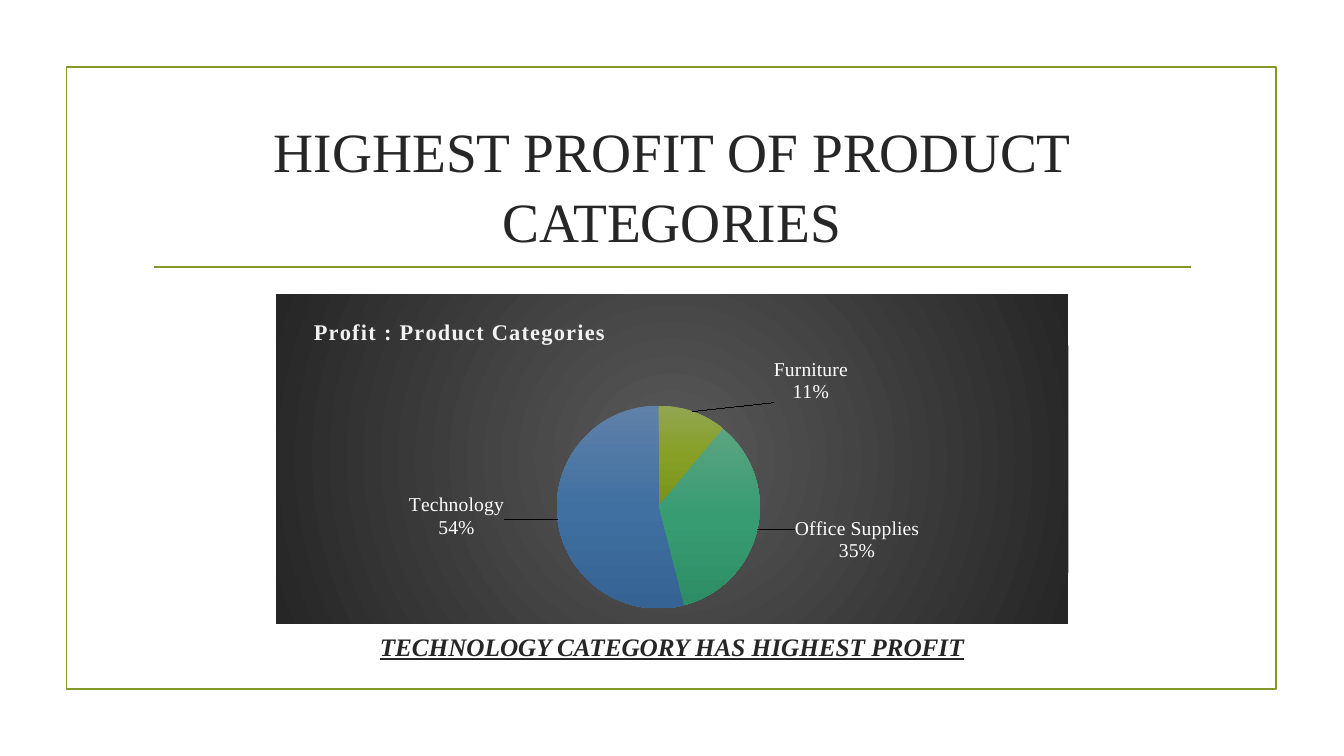
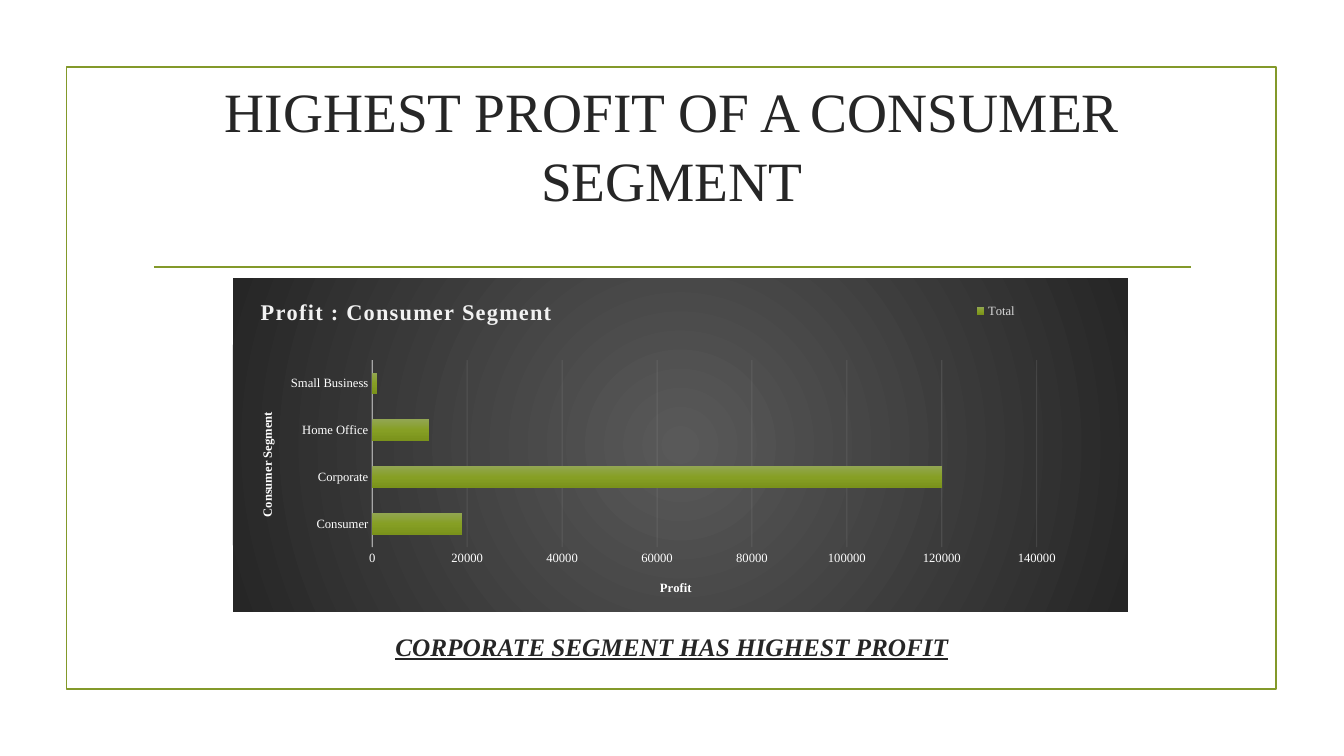
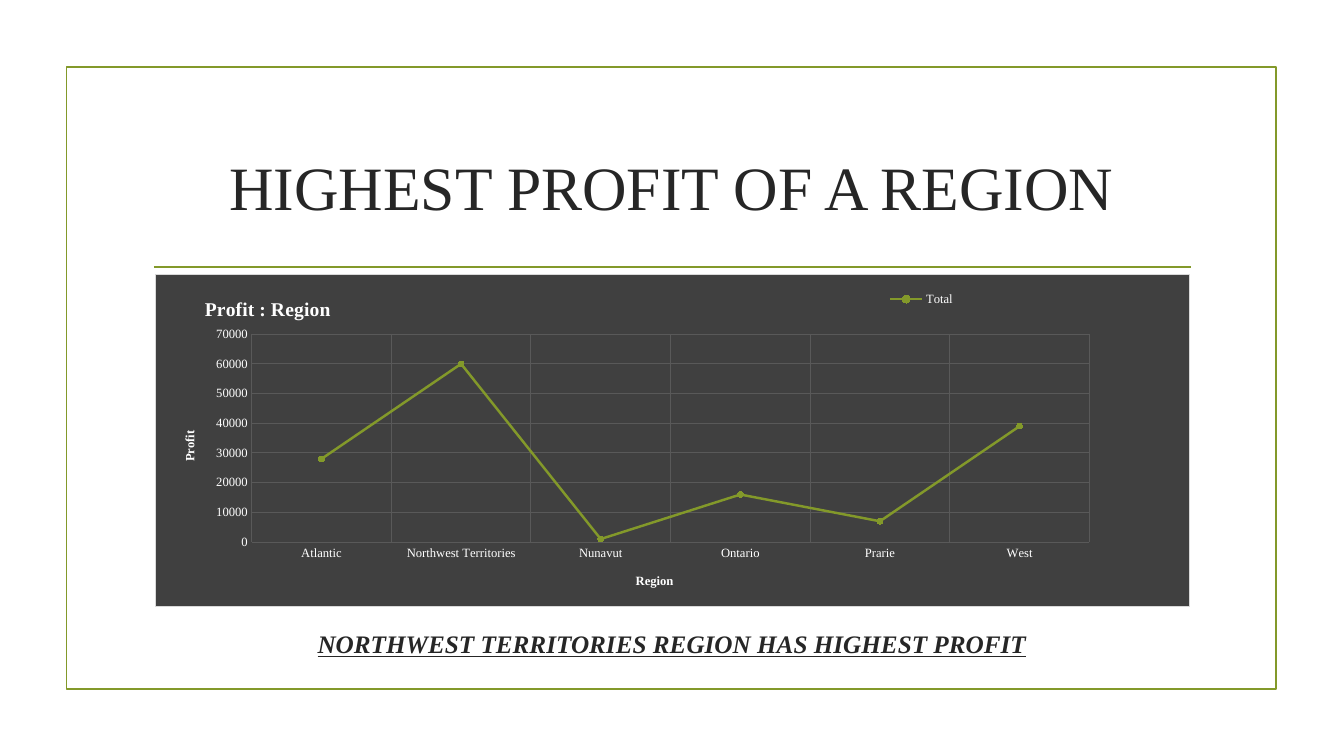
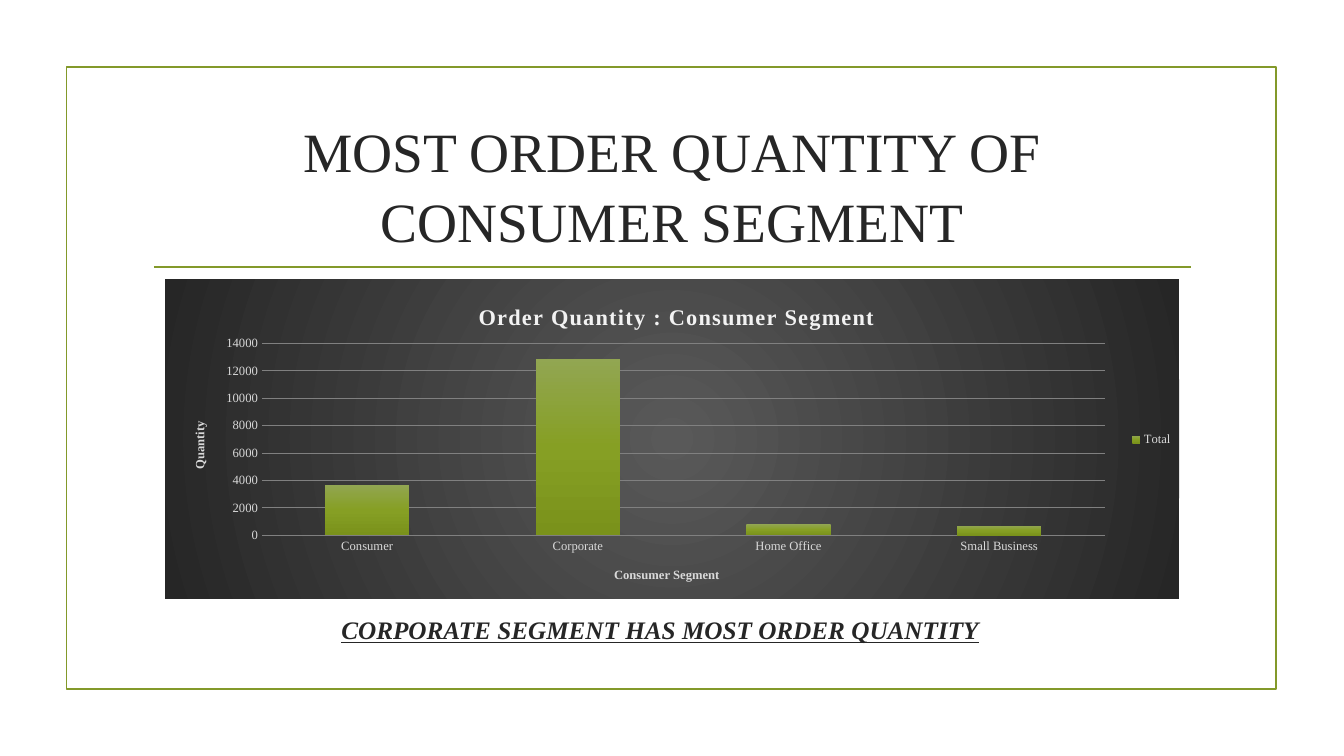
from pptx import Presentation
from pptx.chart.data import CategoryChartData
from pptx.dml.color import RGBColor
from pptx.enum.chart import XL_CHART_TYPE, XL_LEGEND_POSITION, XL_MARKER_STYLE, XL_TICK_MARK
from pptx.enum.shapes import MSO_CONNECTOR, MSO_SHAPE
from pptx.enum.text import MSO_ANCHOR, PP_ALIGN
from pptx.oxml import parse_xml
from pptx.oxml.ns import nsdecls
from pptx.util import Pt

FONT = "Times New Roman"
GREEN, INK, WHITE, PALE = "83992A", "262626", "FFFFFF", "D9D9D9"
LEAF = ("92A652", "869F24", "7A921B")
SEA = ("5BA481", "379C71", "2D8E65")
SKY = ("6081A9", "4070A1", "356393")
NS = nsdecls("a", "c")


def tint(code):
    return RGBColor.from_string(code)


def write(frame, text, size=18, color=INK, bold=False, italic=False, line=False,
          space=None, gap=None, after=None, track=None):
    par = frame.paragraphs[0]
    par.alignment = PP_ALIGN.CENTER
    if space:
        par.line_spacing = space
    if after:
        par.space_after = Pt(after)
    run = par.add_run()
    run.text = text
    font = run.font
    font.name, font.size, font.color.rgb = FONT, Pt(size), tint(color)
    font.bold, font.italic, font.underline = bold, italic, line
    if track:
        font._element.set("spc", str(track)) if hasattr(font, "_element") else run._r.get_or_add_rPr().set("spc", str(track))


def wash(codes, tail):
    step = 100000 // (len(codes) - 1)
    stops = "".join(f'<a:gs pos="{i * step}"><a:srgbClr val="{c}"/></a:gs>'
                    for i, c in enumerate(codes))
    return f"<a:gradFill {NS}><a:gsLst>{stops}</a:gsLst>{tail}</a:gradFill>"


def shade(form, codes):
    fill = wash(codes, '<a:lin ang="5400000" scaled="0"/>')
    form._element.get_or_add_spPr().insert(0, parse_xml(fill))


def stroke(form, color, width=0.75, alpha=None):
    if color is None:
        form.line.fill.background()
        return
    form.line.color.rgb = tint(color)
    form.line.width = Pt(width)
    if alpha:
        mark = form.line._get_or_add_ln().xpath(".//a:srgbClr")[0]
        mark.append(parse_xml(f'<a:alpha {NS} val="{alpha * 1000}"/>'))


class Deck:
    """Build slides that share one frame, font and chart style."""

    def __init__(self):
        self.show = Presentation()
        self.show.slide_width, self.show.slide_height = Pt(960), Pt(540)

    def start(self, title, note, head=(102, 77, 756, 103), foot=(102, 445.5), size=39.6):
        self.slide = self.show.slides.add_slide(self.show.slide_layouts[6])
        self.frame()
        self.rule()
        self.text(title, head, MSO_ANCHOR.MIDDLE, (6, 0), size=size, space=1.04)
        self.text(note, (*foot, 756, 32), MSO_ANCHOR.TOP, (3.6, 3.6),
                  bold=True, italic=True, line=True, space=1.08, after=6)

    def frame(self):
        box = self.slide.shapes.add_shape(MSO_SHAPE.RECTANGLE, Pt(47.5), Pt(48), Pt(864), Pt(444))
        box.shadow.inherit = False
        box.fill.background()
        stroke(box, GREEN, 1.25)

    def rule(self):
        line = self.slide.shapes.add_connector(
            MSO_CONNECTOR.STRAIGHT, Pt(110), Pt(190.8), Pt(850.5), Pt(190.8))
        stroke(line, GREEN, 1.25)
        line._element.spPr.append(parse_xml(f"<a:effectLst {NS}/>"))

    def text(self, text, box, anchor, pad, **style):
        frame = self.slide.shapes.add_textbox(*map(Pt, box)).text_frame
        frame.word_wrap = True
        frame.vertical_anchor = anchor
        frame.margin_top, frame.margin_bottom = map(Pt, pad)
        write(frame, text, **style)

    def place(self, node, spot, index=1):
        for old in node.xpath("c:layout"):
            node.remove(old)
        mode = "".join(f'<c:{k}Mode val="edge"/>' for k in "xy")
        goal = "" if index else '<c:layoutTarget val="inner"/>'
        size = "".join(f'<c:{k} val="{v / self.span[i % 2]:.4f}"/>'
                       for i, (k, v) in enumerate(zip("xywh", spot)))
        node.insert(index, parse_xml(
            f"<c:layout {NS}><c:manualLayout>{goal}{mode}{size}</c:manualLayout></c:layout>"))

    def chart(self, kind, box, cats, name, vals, title, spot, plot, flat=None,
              size=16, color="F2F2F2", track=100):
        data = CategoryChartData()
        data.categories = cats
        data.add_series(name, vals)
        self.span = box[2:]
        chart = self.slide.shapes.add_chart(kind, *map(Pt, box), data).chart
        self.graph = chart
        chart.font.name, chart.font.size = FONT, Pt(10)
        chart.has_legend = False
        chart.has_title = True
        write(chart.chart_title.text_frame, title, size, color, True, track=track)
        self.place(chart.chart_title._element, spot)
        root = chart._chartSpace
        self.place(root.xpath("c:chart/c:plotArea")[0], plot, 0)
        if flat:
            fill = f'<a:solidFill><a:srgbClr val="{flat}"/></a:solidFill>'
            edge = f'<a:ln w="9525"><a:solidFill><a:srgbClr val="{PALE}"/></a:solidFill></a:ln>'
        else:
            fill = wash(("595959", INK), '<a:path path="circle"><a:fillToRect l="50000" t="50000" '
                                         'r="50000" b="50000"/></a:path>')
            edge = "<a:ln><a:noFill/></a:ln>"
        root.xpath("c:chart")[0].addnext(parse_xml(f"<c:spPr {NS}>{fill}{edge}</c:spPr>"))
        chart.plots[0].vary_by_categories = kind == XL_CHART_TYPE.PIE
        return chart.plots[0]

    def key(self, spot, color):
        self.graph.has_legend = True
        key = self.graph.legend
        key.position = XL_LEGEND_POSITION.RIGHT
        key.include_in_layout = False
        key.font.name, key.font.size, key.font.color.rgb = FONT, Pt(9), tint(color)
        self.place(key._element, spot)

    def axis(self, axis, title, spot, color, line=None, grid=None, alpha=None):
        axis.major_tick_mark = axis.minor_tick_mark = XL_TICK_MARK.NONE
        font = axis.tick_labels.font
        font.name, font.size, font.color.rgb = FONT, Pt(9), tint(color)
        write(axis.axis_title.text_frame, title, 9, color, True)
        self.place(axis.axis_title._element, spot)
        stroke(axis.format, line, 1, 54)
        axis.has_major_gridlines = bool(grid)
        if grid:
            stroke(axis.major_gridlines.format, grid, 0.75, alpha)

    def scale(self, top, step):
        axis = self.graph.value_axis
        axis.minimum_scale, axis.maximum_scale, axis.major_unit = 0, top, step
        axis.tick_labels.number_format = "0"
        axis.tick_labels.number_format_is_linked = False

    def labels(self, row, moves):
        look = (f'<c:numFmt formatCode="0%" sourceLinked="0"/><c:spPr><a:noFill/></c:spPr>'
                f'<c:txPr><a:bodyPr/><a:p><a:pPr><a:defRPr sz="1400"><a:solidFill>'
                f'<a:srgbClr val="{WHITE}"/></a:solidFill><a:latin typeface="{FONT}"/>'
                f'</a:defRPr></a:pPr><a:endParaRPr lang="en-US"/></a:p></c:txPr>'
                f'<c:dLblPos val="outEnd"/>')
        flags = (("LegendKey", 0), ("Val", 0), ("CatName", 1), ("SerName", 0),
                 ("Percent", 1), ("BubbleSize", 0))
        look += "".join(f'<c:show{k} val="{v}"/>' for k, v in flags)
        look += "<c:separator>\n</c:separator>"
        each = "".join(f'<c:dLbl><c:idx val="{i}"/><c:layout><c:manualLayout><c:x val="{x}"/>'
                       f'<c:y val="{y}"/></c:manualLayout></c:layout>{look}</c:dLbl>'
                       for i, (x, y) in enumerate(moves))
        row._element.xpath("c:cat")[0].addprevious(parse_xml(
            f'<c:dLbls {NS}>{each}{look}<c:showLeaderLines val="1"/></c:dLbls>'))


def main():
    deck = Deck()
    groups = ("Consumer", "Corporate", "Home Office", "Small Business")

    deck.start("HIGHEST PROFIT OF PRODUCT CATEGORIES", "TECHNOLOGY CATEGORY HAS HIGHEST PROFIT")
    plot = deck.chart(XL_CHART_TYPE.PIE, (197.3, 210.2, 565.9, 235.4),
                      ("Furniture", "Office Supplies", "Technology"), "Series 1", (11, 35, 54),
                      "Profit : Product Categories", (24, 14), (200, 79.5, 146, 145))
    row = plot.series[0]
    for i, codes in enumerate((LEAF, SEA, SKY)):
        shade(row.points[i].format, codes)
    deck.labels(row, ((0.1, -0.01), (0.04, -0.04), (-0.06, -0.08)))

    deck.start("HIGHEST PROFIT OF A CONSUMER SEGMENT", "CORPORATE SEGMENT HAS HIGHEST PROFIT",
               head=(102, 53.3, 756, 92))
    plot = deck.chart(XL_CHART_TYPE.BAR_CLUSTERED, (166.3, 198.7, 639.4, 238.3), groups, "Total",
                      (19000, 120000, 12000, 1000), "Profit : Consumer Segment",
                      (17, 11), (99.6, 58.6, 474.6, 133.6))
    plot.gap_width, plot.overlap = 115, -20
    shade(plot.series[0].format, LEAF)
    deck.axis(deck.graph.category_axis, "Consumer Segment", (17, 94), WHITE, line="F2F2F2")
    deck.axis(deck.graph.value_axis, "Profit", (303.5, 213.5), WHITE, grid="F2F2F2", alpha=10)
    deck.scale(140000, 20000)
    deck.key((515, 16, 60, 15), PALE)

    deck.start("HIGHEST PROFIT OF A REGION", "NORTHWEST TERRITORIES REGION HAS HIGHEST PROFIT",
               foot=(102, 443.5), size=44)
    plot = deck.chart(XL_CHART_TYPE.LINE_MARKERS, (110.5, 196, 739.4, 237.3),
                      ("Atlantic", "Northwest Territories", "Nunavut", "Ontario", "Prarie", "West"),
                      "Total", (28000, 60000, 1000, 16000, 7000, 39000), "Profit : Region",
                      (33, 13), (69, 42.5, 599, 149), flat="404040",
                      size=14, color=WHITE, track=None)
    row = plot.series[0]
    row.smooth = False
    stroke(row.format, GREEN, 1.75)
    row.marker.style, row.marker.size = XL_MARKER_STYLE.CIRCLE, 4
    row.marker.format.fill.solid()
    row.marker.format.fill.fore_color.rgb = tint(GREEN)
    stroke(row.marker.format, GREEN)
    deck.axis(deck.graph.category_axis, "Region", (342, 212), WHITE, grid="595959")
    deck.axis(deck.graph.value_axis, "Profit", (17, 110), WHITE, grid="595959")
    deck.scale(70000, 10000)
    deck.key((518, 10, 60, 15), WHITE)

    deck.start("MOST ORDER QUANTITY OF CONSUMER SEGMENT", "CORPORATE SEGMENT HAS MOST ORDER QUANTITY",
               foot=(93.6, 433.5))
    plot = deck.chart(XL_CHART_TYPE.COLUMN_CLUSTERED, (118, 199.4, 724.3, 228.2), groups, "Total",
                      (3700, 12900, 800, 700), "Order Quantity : Consumer Segment",
                      (221, 14), (69, 46, 602, 137))
    plot.gap_width = 150
    shade(plot.series[0].format, LEAF)
    deck.axis(deck.graph.category_axis, "Consumer Segment", (319, 203.5), PALE)
    deck.axis(deck.graph.value_axis, "Quantity", (17, 100), PALE, grid="808080")
    deck.scale(14000, 2000)
    deck.key((687, 107, 35, 15), PALE)

    deck.show.save("out.pptx")


if __name__ == "__main__":
    main()
